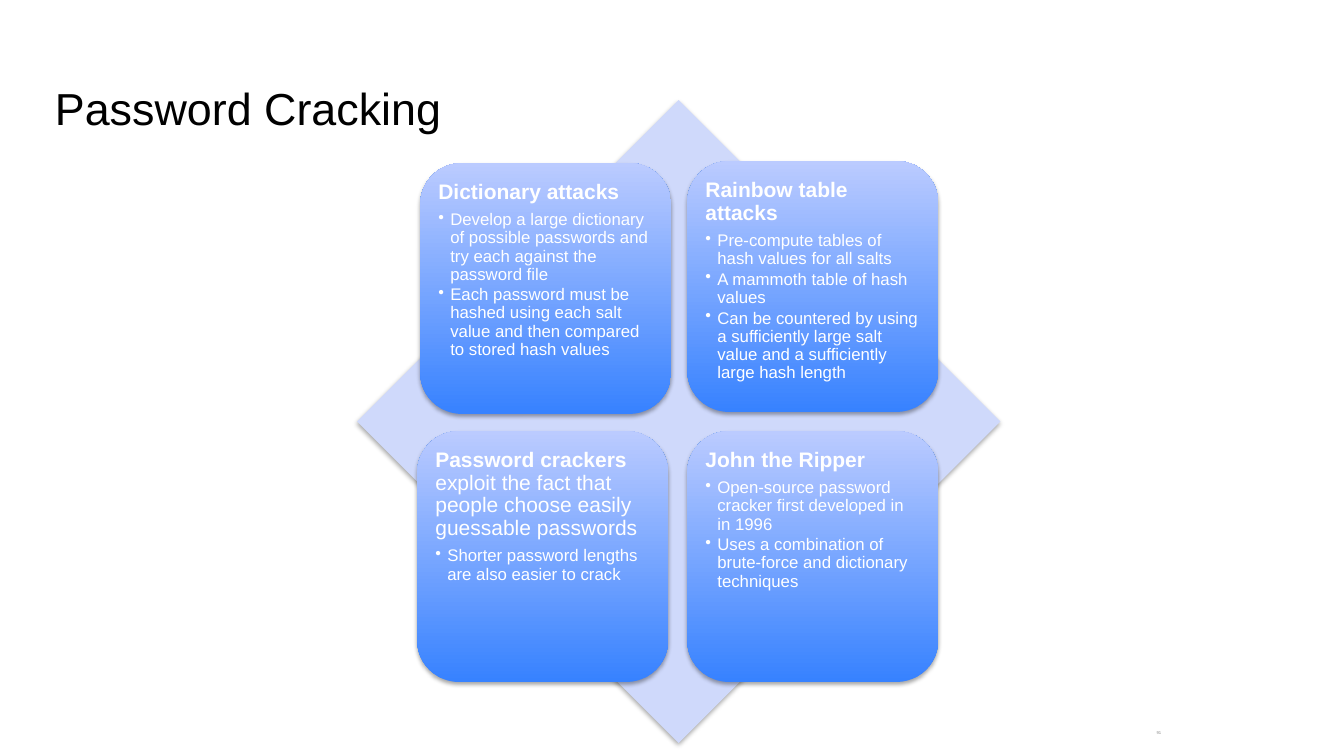
"""Build the Password Cracking slide: four cards over a diamond."""
from lxml.etree import SubElement
from pptx import Presentation
from pptx.dml.color import RGBColor
from pptx.enum.shapes import MSO_SHAPE
from pptx.enum.text import MSO_ANCHOR, PP_ALIGN
from pptx.oxml.ns import qn
from pptx.util import Inches, Pt

TITLE = "Password Cracking"
NUMBER = "91"
CARDS = [
    (420, 163, "Dictionary attacks", "", [
        "Develop a large dictionary of possible passwords and try each against the password file",
        "Each password must be hashed using each salt value and then compared to stored hash values",
    ]),
    (687, 161, "Rainbow table attacks", "", [
        "Pre-compute tables of hash values for all salts",
        "A mammoth table of hash values",
        "Can be countered by using a sufficiently large salt value and a sufficiently large hash length",
    ]),
    (417, 431, "Password crackers ",
     "exploit the fact that people choose easily guessable passwords", [
         "Shorter password lengths are also easier to crack",
     ]),
    (687, 431, "John the Ripper", "", [
        "Open-source password cracker first developed in in 1996",
        "Uses a combination of brute-force and dictionary techniques",
    ]),
]
CARD_SIZE = 251
CARD_INSET = 6
BULLET_INDENT = 12
WHITE = "FFFFFF"


def px(n):
    return Inches(n / 100.8)


def rgb(value):
    return RGBColor.from_string(value)


def add_run(p, text, size=12, color=WHITE, bold=False):
    r = p.add_run()
    r.text = text
    r.font.name = "Arial"
    r.font.size = Pt(size)
    r.font.bold = bold
    r.font.color.rgb = rgb(color)


def set_frame(tf, anchor, inset):
    tf.word_wrap = True
    tf.vertical_anchor = anchor
    tf.margin_left = tf.margin_right = px(inset)
    tf.margin_top = tf.margin_bottom = px(inset)


def add_label(slide, box, text, inset=0, align=PP_ALIGN.LEFT, spacing=1.0, **fmt):
    tf = slide.shapes.add_textbox(*map(px, box)).text_frame
    set_frame(tf, MSO_ANCHOR.MIDDLE, inset)
    p = tf.paragraphs[0]
    p.alignment = align
    p.line_spacing = spacing
    add_run(p, text, **fmt)


def add_shadowed(slide, kind, box):
    sp = slide.shapes.add_shape(kind, *map(px, box))
    sp.line.fill.background()
    sp.shadow.inherit = False
    effects = sp._element.spPr.find(qn("a:effectLst"))
    shadow = SubElement(effects, qn("a:outerShdw"), blurRad="40000", dist="23000",
                        dir="5400000", rotWithShape="0")
    color = SubElement(shadow, qn("a:srgbClr"), val="000000")
    SubElement(color, qn("a:alpha"), val="35000")
    return sp


def style_paragraph(p, after):
    p.alignment = PP_ALIGN.LEFT
    p.line_spacing = 0.9
    p.space_after = Pt(after)


def add_bullet(tf, text):
    p = tf.add_paragraph()
    p.level = 1
    style_paragraph(p, 1.8)
    pPr = p._p.get_or_add_pPr()
    pPr.set("marL", str(px(BULLET_INDENT)))
    pPr.set("indent", str(-px(BULLET_INDENT)))
    SubElement(pPr, qn("a:buChar"), char="•")
    add_run(p, text)


def add_card(slide, left, top, heading, rest, bullets):
    sp = add_shadowed(slide, MSO_SHAPE.ROUNDED_RECTANGLE, (left, top, CARD_SIZE, CARD_SIZE))
    sp.fill.gradient()
    sp.fill.gradient_angle = 90
    for stop, color in zip(sp.fill.gradient_stops, ("3782FF", "BBCBFF")):
        stop.color.rgb = rgb(color)
    tf = sp.text_frame
    set_frame(tf, MSO_ANCHOR.TOP, CARD_INSET)
    p = tf.paragraphs[0]
    style_paragraph(p, 5.25)
    add_run(p, heading, size=15, bold=True)
    if rest:
        add_run(p, rest, size=15)
    for text in bullets:
        add_bullet(tf, text)


def main():
    prs = Presentation()
    prs.slide_width, prs.slide_height = Inches(13.33), Inches(7.5)
    slide = prs.slides.add_slide(prs.slide_layouts[6])
    add_label(slide, (45, 65, 1252, 85), TITLE, inset=10, size=32, color="000000")
    add_label(slide, (1102, 726, 59, 15), NUMBER, align=PP_ALIGN.RIGHT, spacing=0.8,
              size=3, color="8C8C8C")
    diamond = add_shadowed(slide, MSO_SHAPE.DIAMOND, (357, 100, 643, 643))
    diamond.fill.solid()
    diamond.fill.fore_color.rgb = rgb("CFD9FB")
    for card in CARDS:
        add_card(slide, *card)
    prs.save("out.pptx")


if __name__ == "__main__":
    main()
